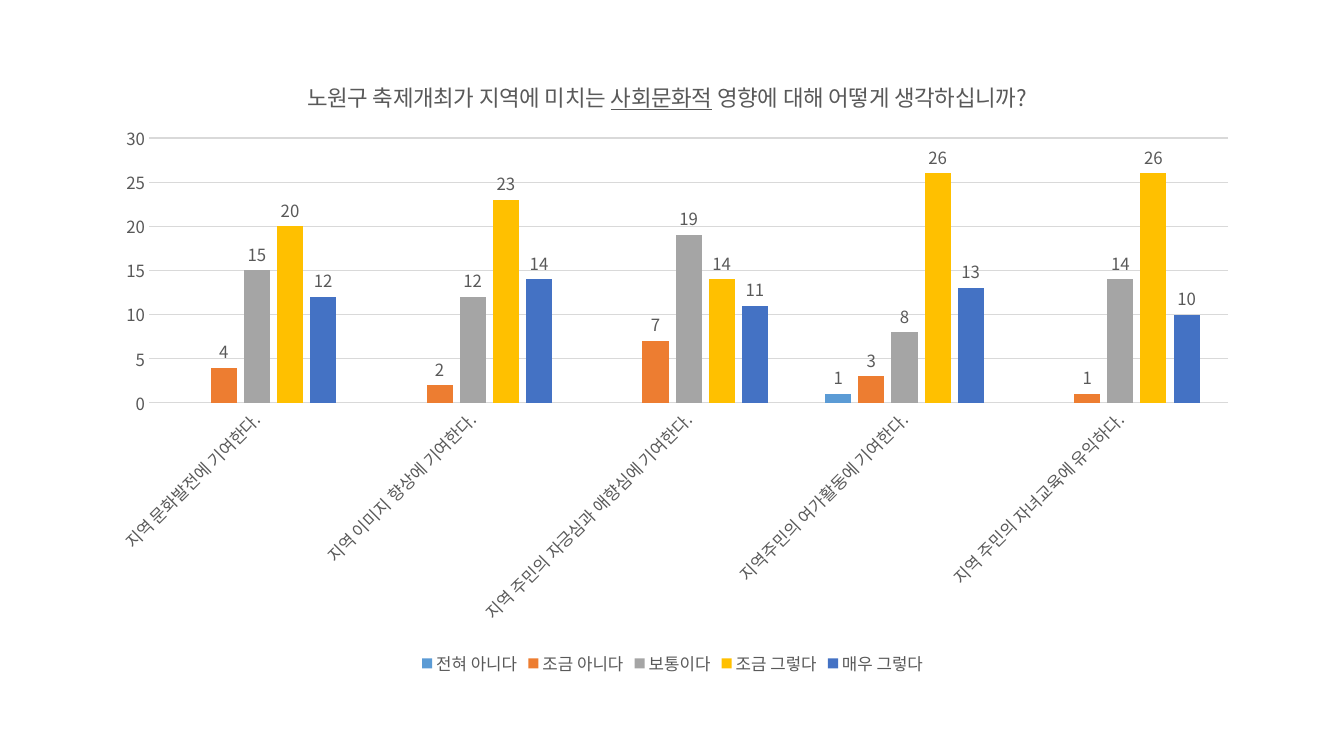
from lxml import etree
from pptx import Presentation
from pptx import util as u
from pptx.chart.data import CategoryChartData
from pptx.dml.color import RGBColor
from pptx.enum import chart as ch
from pptx.oxml.ns import qn

PX_PER_INCH = 100.8
EMU = 914400 / PX_PER_INCH
THEME = {
    "font": "Noto Sans CJK KR",
    "text": "595959",
    "rule": "D9D9D9",
    "title_pt": 16,
    "label_pt": 12,
    "rule_pt": 0.75,
}
CHART = (93, 53, 1159, 627)
PLOT = (149, 138, 1079, 265)
TITLE = (304, 76)

CATEGORIES = [
    "지역 문화발전에 기여한다.",
    "지역 이미지 향상에 기여한다.",
    "지역 주민의 자긍심과 애향심에 기여한다.",
    "지역주민의 여가활동에 기여한다.",
    "지역 주민의 자녀교육에 유익하다.",
]
ANSWERS = [
    ("전혀 아니다", (None, None, None, 1, None), "5B9BD5"),
    ("조금 아니다", (4, 2, 7, 3, 1), "ED7D31"),
    ("보통이다", (15, 12, 19, 8, 14), "A5A5A5"),
    ("조금 그렇다", (20, 23, 14, 26, 26), "FFC000"),
    ("매우 그렇다", (12, 14, 11, 13, 10), "4472C4"),
]


def add_text(p, content, size=THEME["title_pt"], color=THEME["text"], underline=False):
    r = p.add_run()
    r.text = content
    r.font.name = THEME["font"]
    r.font.size = u.Pt(size)
    r.font.bold = False
    r.font.underline = underline
    r.font.color.rgb = RGBColor.from_string(color)


def set_layout(element, box):
    """Pin a chart part to a slide position in px, with a size if box has four values."""
    layout = element.find(qn("c:layout"))
    if layout is None:
        layout = etree.Element(qn("c:layout"))
        element.insert(0, layout)
    manual = etree.SubElement(layout, qn("c:manualLayout"))
    if len(box) == 4:
        etree.SubElement(manual, qn("c:layoutTarget")).set("val", "inner")
    for mode in ("xMode", "yMode"):
        etree.SubElement(manual, qn(f"c:{mode}")).set("val", "edge")
    offsets = (CHART[0], CHART[1], 0, 0)
    for tag, value, offset, total in zip("xywh", box, offsets, CHART[2:] * 2):
        etree.SubElement(manual, qn(f"c:{tag}")).set("val", f"{(value - offset) / total:.4f}")


prs = Presentation()
prs.slide_width = u.Inches(13.33)
prs.slide_height = u.Inches(7.5)
slide = prs.slides.add_slide(prs.slide_layouts[6])

data = CategoryChartData()
data.categories = CATEGORIES
for name, values, _ in ANSWERS:
    data.add_series(name, values)
frame = slide.shapes.add_chart(
    ch.XL_CHART_TYPE.COLUMN_CLUSTERED, *(round(v * EMU) for v in CHART), data
)
chart = frame.chart

# Title
chart.has_title = True
p = chart.chart_title.text_frame.paragraphs[0]
add_text(p, "노원구 축제개최가 지역에 미치는 ")
add_text(p, "사회문화적", underline=True)
add_text(p, " 영향에 대해 어떻게 생각하십니까?")

# Columns
plot = chart.plots[0]
plot.gap_width = 219
plot.overlap = -27
plot.vary_by_categories = False
fonts = []
for series, (_, _, color) in zip(plot.series, ANSWERS):
    series.format.fill.solid()
    series.format.fill.fore_color.rgb = RGBColor.from_string(color)
    series.invert_if_negative = False
    labels = series.data_labels
    labels.show_value = True
    labels.position = ch.XL_LABEL_POSITION.OUTSIDE_END
    fonts.append(labels.font)

# Axes and legend
cat_axis, val_axis = chart.category_axis, chart.value_axis
val_axis.minimum_scale = 0
val_axis.maximum_scale = 30
val_axis.major_unit = 5
val_axis.has_major_gridlines = True
val_axis.format.line.fill.background()
for axis in (cat_axis, val_axis):
    axis.major_tick_mark = axis.minor_tick_mark = ch.XL_TICK_MARK.NONE
    fonts.append(axis.tick_labels.font)
for line in (cat_axis.format.line, val_axis.major_gridlines.format.line):
    line.color.rgb = RGBColor.from_string(THEME["rule"])
    line.width = u.Pt(THEME["rule_pt"])

chart.has_legend = True
chart.legend.position = ch.XL_LEGEND_POSITION.BOTTOM
chart.legend.include_in_layout = False
fonts.append(chart.legend.font)

for font in fonts:
    font.name = THEME["font"]
    font.size = u.Pt(THEME["label_pt"])
    font.bold = False
    font.color.rgb = RGBColor.from_string(THEME["text"])

# Slanted category labels, Korean typeface and fixed positions
space = chart.element if hasattr(chart, "element") else chart._chartSpace
body = space.find(".//" + qn("c:catAx")).find(qn("c:txPr")).find(qn("a:bodyPr"))
body.set("rot", str(-45 * 60000))
body.set("vert", "horz")
for latin in list(space.iter(qn("a:latin"))):
    east_asian = etree.Element(qn("a:ea"))
    east_asian.set("typeface", THEME["font"])
    latin.addnext(east_asian)
set_layout(space.find(".//" + qn("c:plotArea")), PLOT)
set_layout(space.find(".//" + qn("c:title")), TITLE)

prs.save("out.pptx")
